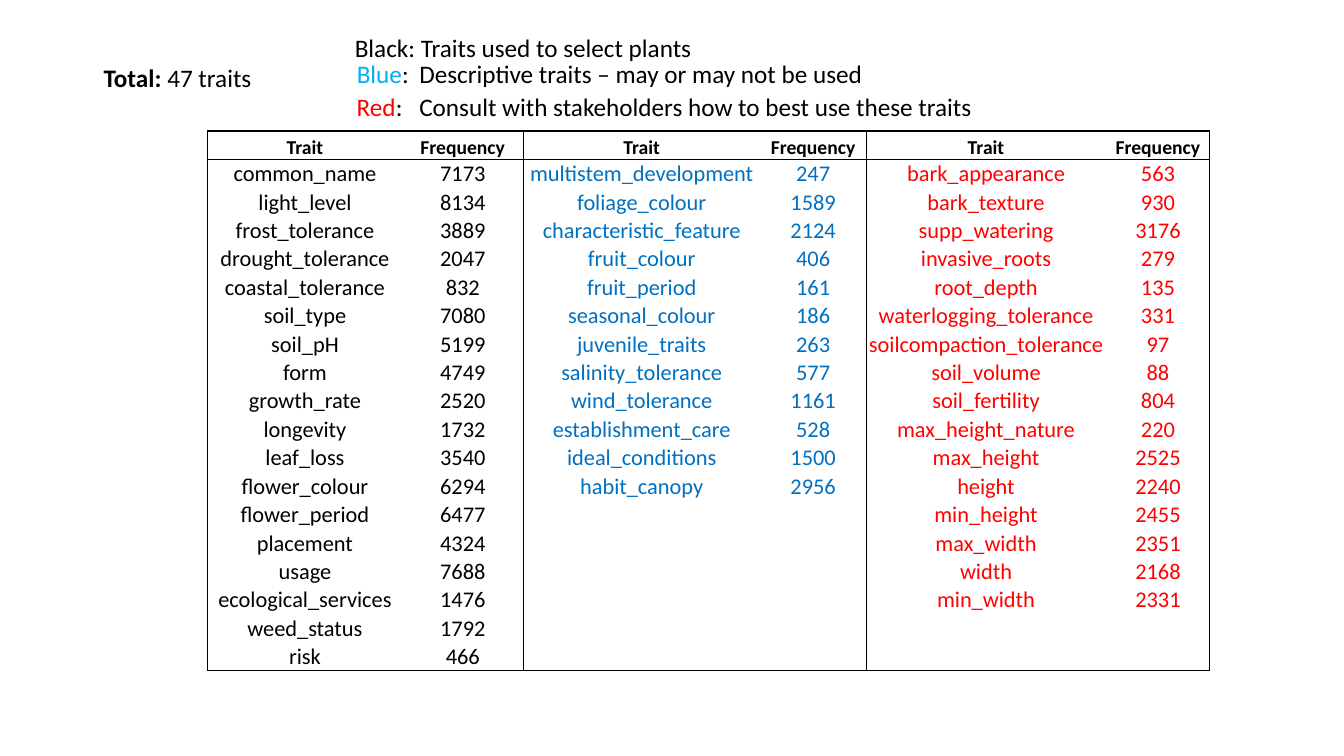
import pptx
import pptx.util
import pptx.dml.color
import pptx.enum.text
import pptx.oxml.ns
from lxml import etree

Inches = pptx.util.Inches
Pt = pptx.util.Pt
qn = pptx.oxml.ns.qn

COLORS = {"black": "000000", "blue": "0070C0", "light_blue": "00B0F0", "red": "FF0000"}
NO_STYLE = "{2D5ABB26-0587-4C30-8999-92F81FD0307C}"

trait_groups = [
    ("black", [
        ("common_name", 7173), ("light_level", 8134), ("frost_tolerance", 3889),
        ("drought_tolerance", 2047), ("coastal_tolerance", 832), ("soil_type", 7080),
        ("soil_pH", 5199), ("form", 4749), ("growth_rate", 2520), ("longevity", 1732),
        ("leaf_loss", 3540), ("flower_colour", 6294), ("flower_period", 6477),
        ("placement", 4324), ("usage", 7688), ("ecological_services", 1476),
        ("weed_status", 1792), ("risk", 466),
    ]),
    ("blue", [
        ("multistem_development", 247), ("foliage_colour", 1589),
        ("characteristic_feature", 2124), ("fruit_colour", 406), ("fruit_period", 161),
        ("seasonal_colour", 186), ("juvenile_traits", 263), ("salinity_tolerance", 577),
        ("wind_tolerance", 1161), ("establishment_care", 528),
        ("ideal_conditions", 1500), ("habit_canopy", 2956),
    ]),
    ("red", [
        ("bark_appearance", 563), ("bark_texture", 930), ("supp_watering", 3176),
        ("invasive_roots", 279), ("root_depth", 135), ("waterlogging_tolerance", 331),
        ("soilcompaction_tolerance", 97), ("soil_volume", 88), ("soil_fertility", 804),
        ("max_height_nature", 220), ("max_height", 2525), ("height", 2240),
        ("min_height", 2455), ("max_width", 2351), ("width", 2168), ("min_width", 2331),
    ]),
]
column_widths = [1.93, 1.2, 2.35, 1.05, 2.38, 1.03]
row_count = 1 + max(len(traits) for _, traits in trait_groups)
last_row = row_count - 1
last_column = len(column_widths) - 1


def style_run(run, size, color, bold=False):
    run.font.name = "Calibri"
    run.font.size = Pt(size)
    run.font.bold = bold
    run.font.color.rgb = pptx.dml.color.RGBColor.from_string(COLORS[color])


def set_borders(cell, widths):
    properties = cell._tc.get_or_add_tcPr()
    for side in "LRTB":
        line = etree.SubElement(properties, qn("a:ln" + side))
        if side in widths:
            line.set("w", str(Pt(widths[side])))
            fill = etree.SubElement(line, qn("a:solidFill"))
            etree.SubElement(fill, qn("a:srgbClr"), val=COLORS["black"])
        else:
            line.set("w", "0")
            etree.SubElement(line, qn("a:noFill"))


deck = pptx.Presentation()
deck.slide_width = Inches(13.33)
deck.slide_height = Inches(7.5)
slide = deck.slides.add_slide(deck.slide_layouts[6])

trait_table = slide.shapes.add_table(
    row_count, len(column_widths), Inches(2.06), Inches(1.3), Inches(9.94), Inches(5.33)
).table
trait_table.first_row = False
trait_table.horz_banding = False
trait_table._tbl.tblPr.find(qn("a:tableStyleId")).text = NO_STYLE
for column, width in zip(trait_table.columns, column_widths):
    column.width = Inches(width)
for row in trait_table.rows:
    row.height = Inches(5.33 / row_count)

for group_index, (color, traits) in enumerate(trait_groups):
    entries = [("Trait", "Frequency")] + traits
    entries += [("", "")] * (row_count - len(entries))
    for row_index, entry in enumerate(entries):
        for offset, value in enumerate(entry):
            column_index = 2 * group_index + offset
            cell = trait_table.cell(row_index, column_index)
            widths = {}
            if offset == 0:
                widths["L"] = 1 if column_index == 0 else 0.5
            else:
                widths["R"] = 1 if column_index == last_column else 0.5
            if row_index <= 1:
                widths["T"] = 1 if row_index == 0 else 0.5
            if row_index in (0, last_row):
                widths["B"] = 1 if row_index == last_row else 0.5
            set_borders(cell, widths)
            cell.fill.background()
            cell.margin_left = cell.margin_right = cell.margin_top = Inches(0.01)
            cell.margin_bottom = 0
            cell.vertical_anchor = pptx.enum.text.MSO_ANCHOR.BOTTOM
            paragraph = cell.text_frame.paragraphs[0]
            paragraph.text = str(value)
            paragraph.alignment = pptx.enum.text.PP_ALIGN.CENTER
            for run in paragraph.runs:
                if row_index == 0:
                    style_run(run, 14, "black", True)
                else:
                    style_run(run, 16, color)
            if not paragraph.runs:
                etree.SubElement(paragraph._p, qn("a:endParaRPr"), sz="1600")

captions = [
    (3.44, 0.53, 5.45, [("Blue", "light_blue", False),
                        (":\tDescriptive traits – may or may not be used", "black", False)]),
    (0.93, 0.57, 2.26, [("Total: ", "black", True), ("47 traits", "black", False)]),
    (3.44, 0.86, 6.47, [("Red", "red", False),
                        (":\tConsult with stakeholders how to best use these traits", "black", False)]),
    (3.42, 0.27, 5.45, [("Black: Traits used to select plants", "black", False)]),
]
for left, top, width, parts in captions:
    caption = slide.shapes.add_textbox(Inches(left), Inches(top), Inches(width), Inches(0.4))
    caption.text_frame.word_wrap = True
    caption.text_frame.auto_size = pptx.enum.text.MSO_AUTO_SIZE.SHAPE_TO_FIT_TEXT
    paragraph = caption.text_frame.paragraphs[0]
    tab_list = etree.SubElement(paragraph._p.get_or_add_pPr(), qn("a:tabLst"))
    etree.SubElement(tab_list, qn("a:tab"), pos=str(Inches(0.62)), algn="l")
    for text, color, bold in parts:
        run = paragraph.add_run()
        run.text = text
        style_run(run, 18, color, bold)

deck.save("out.pptx")
